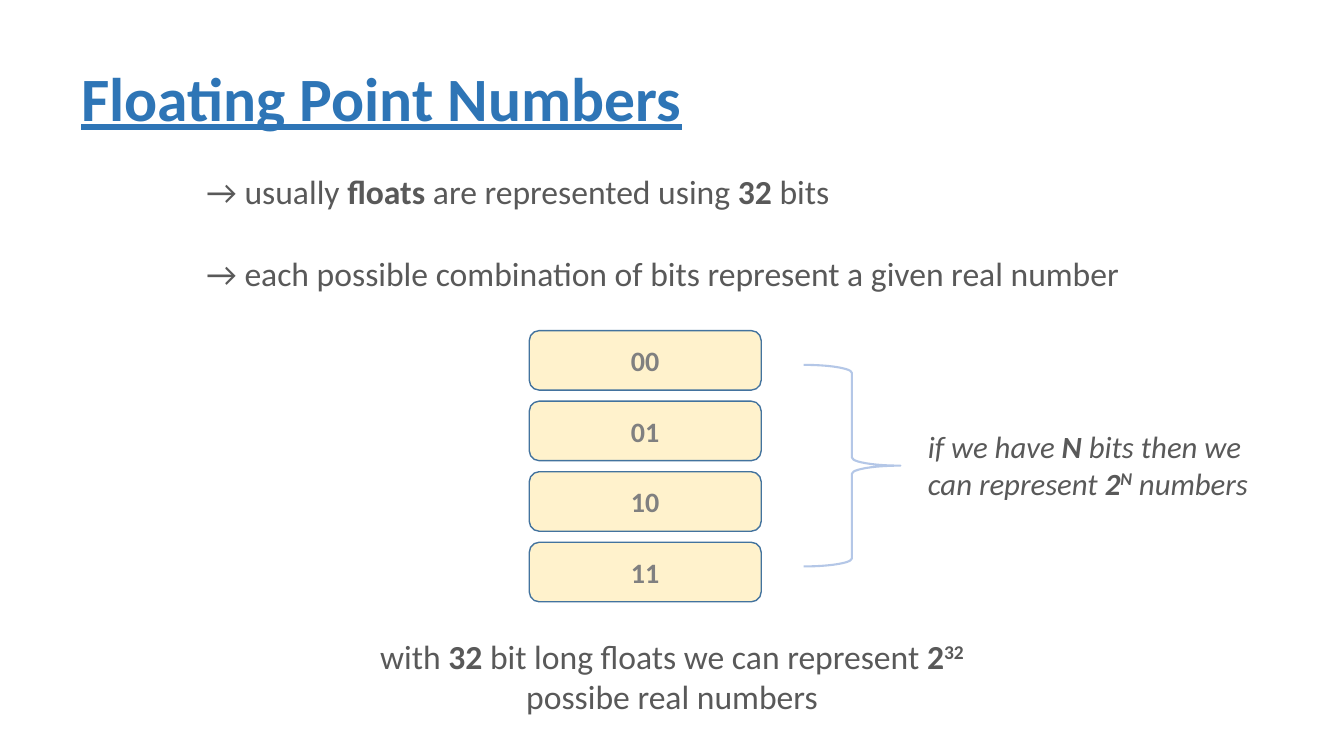
from pptx import Presentation
from pptx.dml.color import RGBColor
from pptx.enum.shapes import MSO_SHAPE
from pptx.enum.text import MSO_ANCHOR, PP_ALIGN
from pptx.util import Inches, Pt

ROUNDED = MSO_SHAPE.ROUNDED_RECTANGLE
BRACE = MSO_SHAPE.RIGHT_BRACE
MIDDLE, TOP = MSO_ANCHOR.MIDDLE, MSO_ANCHOR.TOP
LEFT, CENTER = PP_ALIGN.LEFT, PP_ALIGN.CENTER

COLORS = {
    "title": "2E75B6",
    "body": "595959",
    "bits": "808080",
    "box_fill": "FFF2CC",
    "box_line": "43739E",
    "brace": "B4C7E7",
}
FONT = "Calibri"
PLAIN, BOLD, SUPER = "plain", "bold", "super"

TITLE = [[("Floating Point Numbers", BOLD)]]
POINTS = [
    [("→ usually ", PLAIN), ("floats", BOLD), (" are represented using ", PLAIN),
     ("32", BOLD), (" bits", PLAIN)],
    [("→ each possible combination of bits represent a given real number", PLAIN)],
]
SUMMARY = [
    [("with ", PLAIN), ("32", BOLD), (" bit long floats we can represent ", PLAIN),
     ("2", BOLD), ("32", SUPER)],
    [("possibe real numbers", PLAIN)],
]
RULE = [
    [("if we have ", PLAIN), ("N", BOLD), (" bits then we ", PLAIN)],
    [("can represent ", PLAIN), ("2", BOLD), ("N", SUPER), (" numbers", PLAIN)],
]
COMBINATIONS = ["00", "01", "10", "11"]
BOX_LEFT, BOX_TOP, BOX_WIDTH, BOX_HEIGHT, BOX_PITCH = 5.25, 3.28, 2.3, 0.59, 0.7


def color(name):
    return RGBColor.from_string(COLORS[name])


def write(shape, lines, size, color_name, align=CENTER, anchor=TOP, wrap=True,
          gap=0, line_spacing=None, italic=None, underline=None):
    frame = shape.text_frame
    frame.word_wrap = wrap
    frame.vertical_anchor = anchor
    for index, line in enumerate(lines):
        paragraph = frame.add_paragraph() if index else frame.paragraphs[0]
        paragraph.alignment = align
        if line_spacing:
            paragraph.line_spacing = line_spacing
        if index and gap:
            paragraph.space_before = Pt(gap)
        font = paragraph.font
        font.name, font.size = FONT, Pt(size)
        font.italic, font.underline = italic, underline
        font.color.rgb = color(color_name)
        for text, style in line:
            run = paragraph.add_run()
            run.text = text
            run.font.bold = style != PLAIN
            if style == SUPER:
                run._r.get_or_add_rPr().set("baseline", "30000")


def add_text(slide, left, top, width, height, lines, size, color_name, **options):
    box = slide.shapes.add_textbox(Inches(left), Inches(top), Inches(width), Inches(height))
    write(box, lines, size, color_name, **options)


def add_outlined(slide, kind, left, top, width, height, line_color, line_width):
    shape = slide.shapes.add_shape(kind, Inches(left), Inches(top), Inches(width), Inches(height))
    shape.shadow.inherit = False
    shape.fill.background()
    shape.line.color.rgb = color(line_color)
    shape.line.width = Pt(line_width)
    return shape


def main():
    presentation = Presentation()
    presentation.slide_width, presentation.slide_height = Inches(13.33), Inches(7.5)
    slide = presentation.slides.add_slide(presentation.slide_layouts[6])

    add_text(slide, 0.71, 0.5, 10.29, 1.01, TITLE, 44, "title", align=LEFT,
             anchor=MIDDLE, line_spacing=0.9, underline=True)
    add_text(slide, 1.95, 1.65, 9.54, 1.31, POINTS, 24, "body", align=LEFT,
             wrap=False, gap=29.3)
    add_text(slide, 3.57, 6.26, 6.19, 0.91, SUMMARY, 24, "body", wrap=False)

    for index, bits in enumerate(COMBINATIONS):
        box = add_outlined(slide, ROUNDED, BOX_LEFT, BOX_TOP + index * BOX_PITCH,
                           BOX_WIDTH, BOX_HEIGHT, "box_line", 1)
        box.fill.solid()
        box.fill.fore_color.rgb = color("box_fill")
        write(box, [[(bits, BOLD)]], 20, "bits", anchor=MIDDLE)

    add_outlined(slide, BRACE, 7.97, 3.62, 0.96, 2, "brace", 1.5)
    add_text(slide, 9.08, 4.19, 3.42, 0.84, RULE, 22, "body", wrap=False, italic=True)
    presentation.save("out.pptx")


if __name__ == "__main__":
    main()
